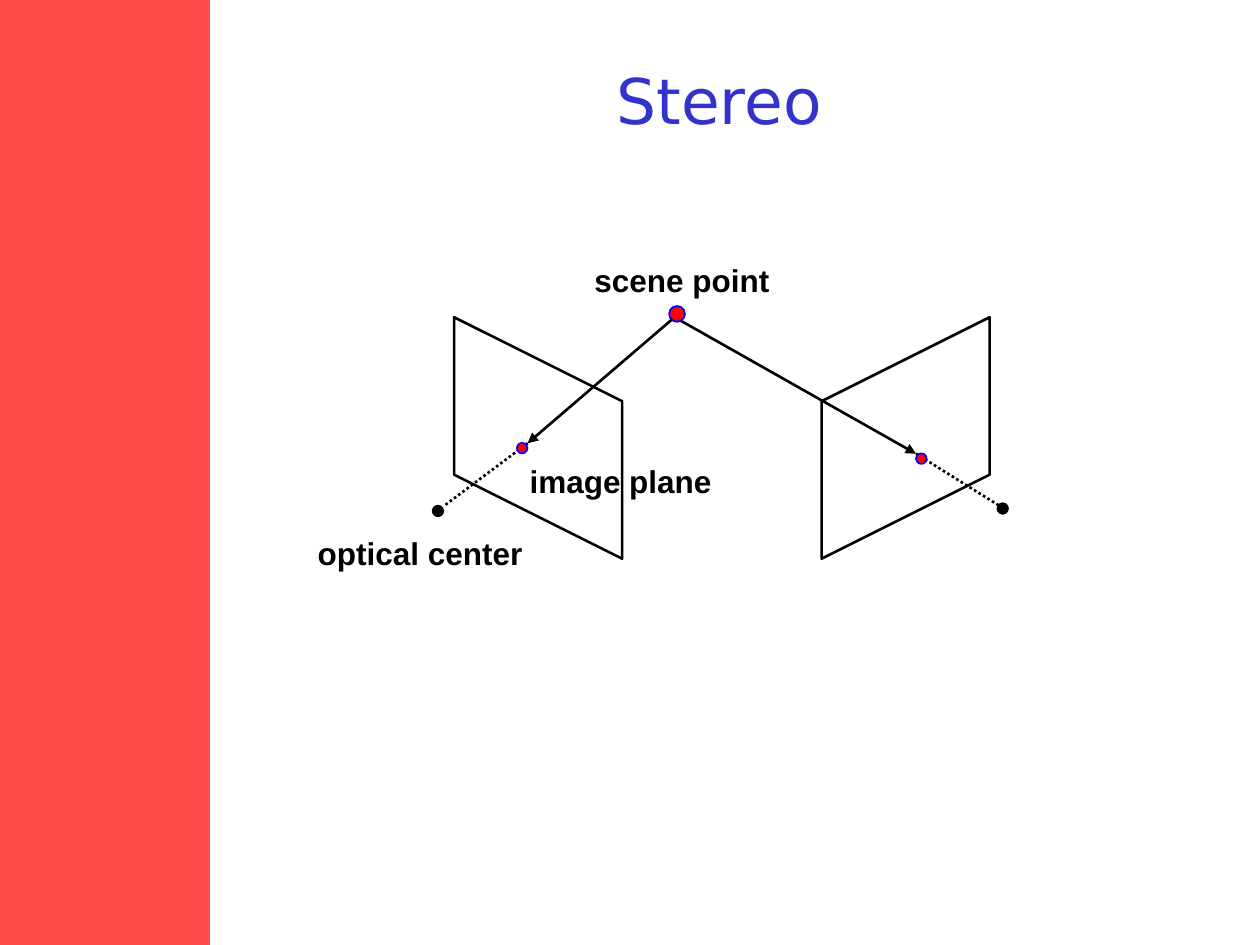
import pptx
import pptx.util
import pptx.dml.color
import pptx.enum.dml
import pptx.enum.shapes
import pptx.enum.text
import pptx.oxml.ns
import lxml.etree

Pt = pptx.util.Pt
SHAPES = pptx.enum.shapes.MSO_SHAPE
COLORS = {
    name: pptx.dml.color.RGBColor.from_string(value)
    for name, value in {
        "band": "FE4B4B",
        "title": "3333CC",
        "black": "000000",
        "point": "FF0000",
        "outline": "0000FF",
    }.items()
}


def format_text(shape, text, font_name, size, color, bold):
    frame = shape.text_frame
    frame.text = text
    frame.vertical_anchor = pptx.enum.text.MSO_ANCHOR.MIDDLE
    paragraph = frame.paragraphs[0]
    paragraph.alignment = pptx.enum.text.PP_ALIGN.CENTER
    font = paragraph.runs[0].font
    font.name = font_name
    font.size = Pt(size)
    font.bold = bold
    font.color.rgb = COLORS[color]


presentation = pptx.Presentation()
presentation.slide_width = Pt(720)
presentation.slide_height = Pt(540)
slide = presentation.slides.add_slide(presentation.slide_layouts[5])
shapes = slide.shapes

band = shapes.add_shape(SHAPES.RECTANGLE, 0, 0, Pt(120), Pt(540))
band.shadow.inherit = False
band.fill.solid()
band.fill.fore_color.rgb = COLORS["band"]
band.line.fill.background()

title = shapes.title
title.left, title.top, title.width, title.height = Pt(120), Pt(30), Pt(582), Pt(54)
format_text(title, "Stereo", "DejaVu Sans", 36, "title", False)

for outer_x, inner_x in [(259.5, 355.5), (565.5, 469.5)]:
    builder = shapes.build_freeform(Pt(outer_x), Pt(181.3))
    builder.add_line_segments(
        [(Pt(outer_x), Pt(271.3)), (Pt(inner_x), Pt(319.3)), (Pt(inner_x), Pt(229.3))],
        close=True,
    )
    image_plane = builder.convert_to_shape()
    image_plane.shadow.inherit = False
    image_plane.fill.background()
    image_plane.line.color.rgb = COLORS["black"]
    image_plane.line.width = Pt(1.5)

scene_point = (385.5, 181.3)
left_image_point, right_image_point = (301.5, 253.3), (523.5, 259.3)
rays = [
    (scene_point, left_image_point, True),
    (scene_point, right_image_point, True),
    (left_image_point, (253.5, 289.3), False),
    (right_image_point, (571.5, 289.3), False),
]
for start, end, is_arrow in rays:
    ray = shapes.add_connector(
        pptx.enum.shapes.MSO_CONNECTOR.STRAIGHT, *[Pt(value) for value in start + end]
    )
    ray.line.color.rgb = COLORS["black"]
    ray.line.width = Pt(1.5)
    if is_arrow:
        arrowhead = lxml.etree.SubElement(ray.line._get_or_add_ln(), pptx.oxml.ns.qn("a:tailEnd"))
        arrowhead.set("type", "triangle")
    else:
        ray.line.dash_style = pptx.enum.dml.MSO_LINE.ROUND_DOT
    lxml.etree.SubElement(ray._element.spPr, pptx.oxml.ns.qn("a:effectLst"))

dots = [
    (250.3, 292, 6, "black", "black"),
    (573, 290.6, 6, "black", "black"),
    (298.4, 256.1, 6, "point", "outline"),
    (526.5, 262.1, 6, "point", "outline"),
    (386.9, 179.4, 9, "point", "outline"),
]
for center_x, center_y, diameter, fill, outline in dots:
    dot = shapes.add_shape(
        SHAPES.OVAL,
        Pt(center_x - diameter / 2),
        Pt(center_y - diameter / 2),
        Pt(diameter),
        Pt(diameter),
    )
    dot.shadow.inherit = False
    dot.fill.solid()
    dot.fill.fore_color.rgb = COLORS[fill]
    dot.line.color.rgb = COLORS[outline]
    dot.line.width = Pt(1)

labels = [
    ("scene point", 332.4, 145.6, 114.5),
    ("optical center", 174.2, 301.3, 131.8),
    ("image plane", 295.2, 260.2, 118.8),
]
for text, left, top, width in labels:
    label = shapes.add_textbox(Pt(left), Pt(top), Pt(width), Pt(29))
    format_text(label, text, "Arial", 18, "black", True)
    label.text_frame.word_wrap = False
    label.text_frame.auto_size = pptx.enum.text.MSO_AUTO_SIZE.SHAPE_TO_FIT_TEXT

presentation.save("out.pptx")
